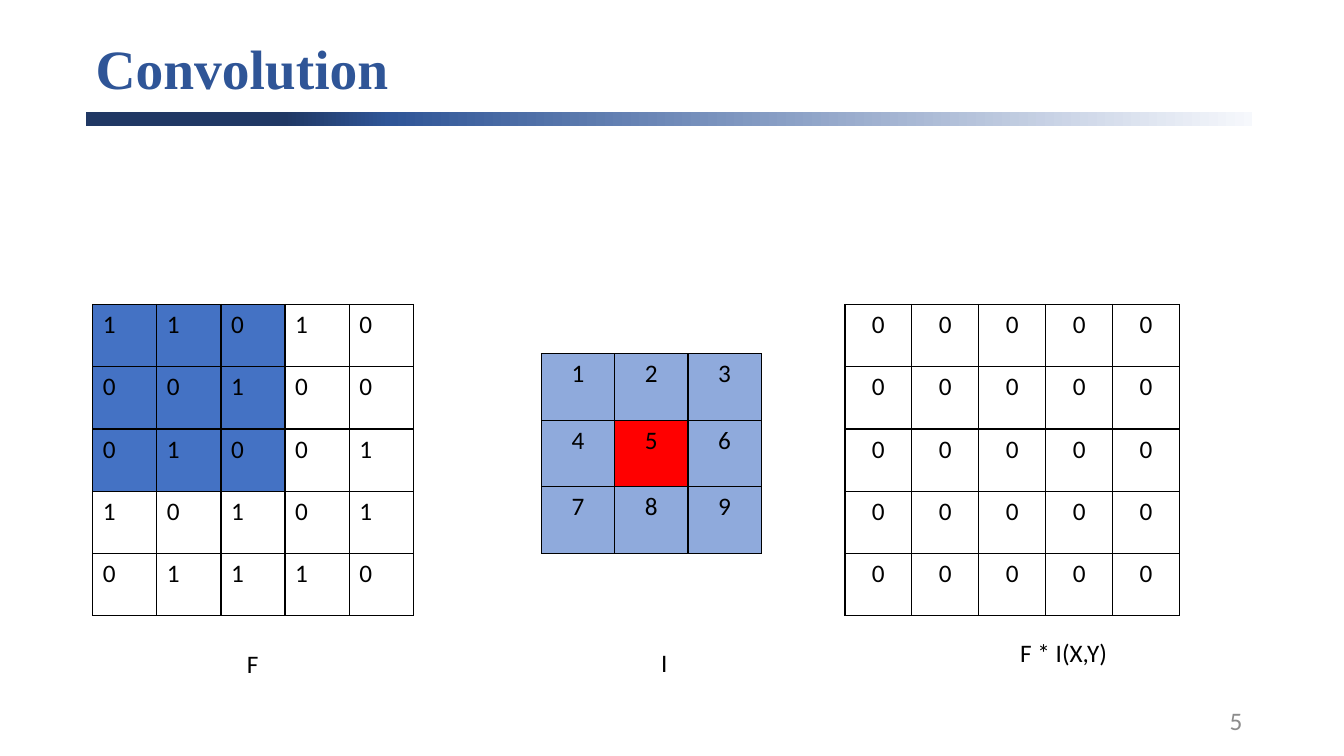
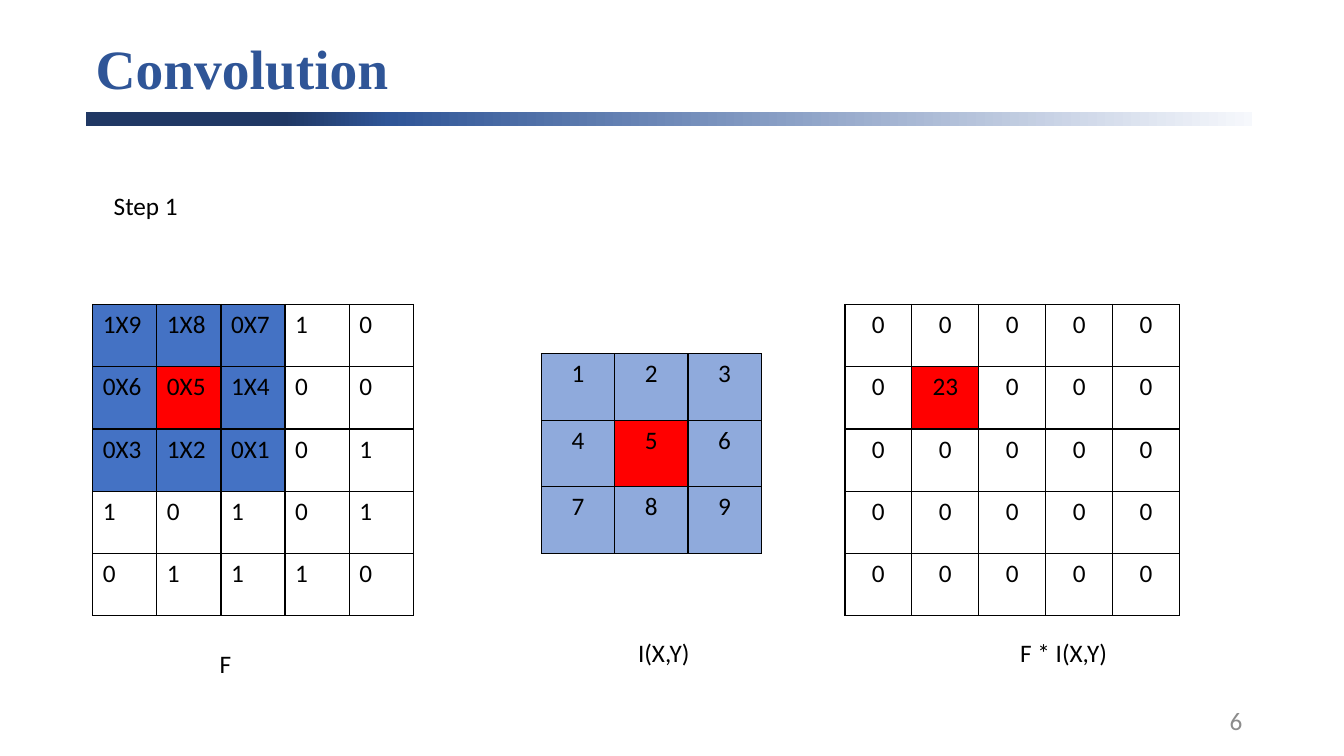
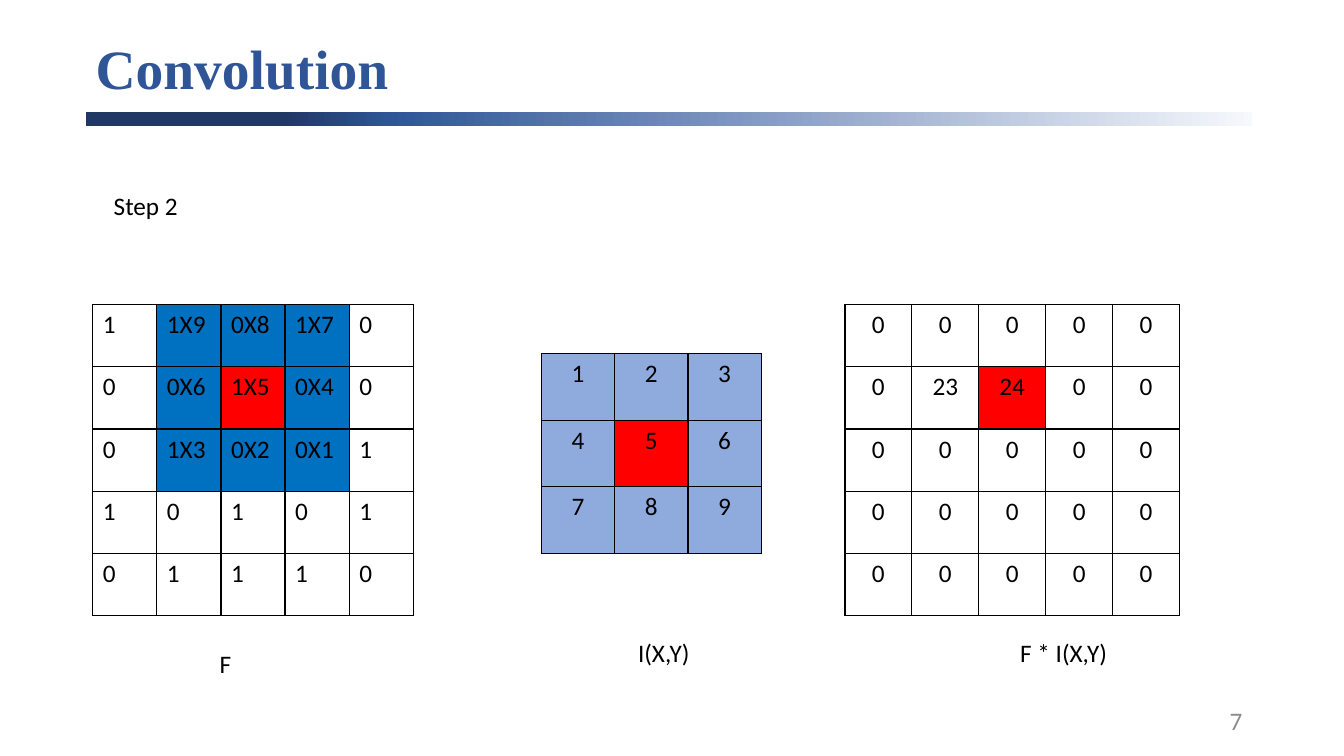
import dataclasses

import lxml.etree
import pptx
import pptx.dml.color
import pptx.enum.shapes
import pptx.enum.text
import pptx.oxml.ns
import pptx.util

Inches = pptx.util.Inches
Pt = pptx.util.Pt
ALIGN = pptx.enum.text.PP_ALIGN
ANCHOR = pptx.enum.text.MSO_ANCHOR
qn = pptx.oxml.ns.qn


@dataclasses.dataclass(frozen=True)
class Theme:
    title_font: str = "Times New Roman"
    body_font: str = "Calibri"
    title_size: float = 39.6
    body_size: float = 18
    title: str = "2F5597"
    text: str = "000000"
    page: str = "8C8C8C"
    grid: str = "000000"
    grid_width: float = 1
    window: str = "4472C4"
    moved_window: str = "0070C0"
    kernel: str = "8FAADC"
    focus: str = "FF0000"
    band: tuple = ((0, "F6F8FC"), (74, "2F5597"), (83, "203864"), (100, "203864"))


THEME = Theme()
RGB = pptx.dml.color.RGBColor.from_string

IMAGE = [
    [1, 1, 0, 1, 0],
    [0, 0, 1, 0, 0],
    [0, 1, 0, 0, 1],
    [1, 0, 1, 0, 1],
    [0, 1, 1, 1, 0],
]
KERNEL = [[1, 2, 3], [4, 5, 6], [7, 8, 9]]

IMAGE_BOX = (0.92, 3.02, 3.18, 3.09)
KERNEL_BOX = (5.37, 3.51, 2.18, 1.98)
RESULT_BOX = (8.38, 3.02, 3.32, 3.09)


def style(p, color=THEME.text, size=THEME.body_size, font=THEME.body_font, bold=False):
    p.font.name = font
    p.font.size = Pt(size)
    p.font.bold = bold
    p.font.color.rgb = RGB(color)


def add_text(s, box, text, align=ALIGN.LEFT, anchor=ANCHOR.TOP, wrap=True, **font):
    tf = s.shapes.add_textbox(*map(Inches, box)).text_frame
    tf.word_wrap = wrap
    if not wrap:
        tf.auto_size = pptx.enum.text.MSO_AUTO_SIZE.SHAPE_TO_FIT_TEXT
    tf.vertical_anchor = anchor
    p = tf.paragraphs[0]
    p.text = text
    p.alignment = align
    style(p, **font)
    return p


def add_band(s, box):
    sp = s.shapes.add_shape(pptx.enum.shapes.MSO_SHAPE.RECTANGLE, *map(Inches, box))
    sp.shadow.inherit = False
    sp.line.fill.background()
    sp.fill.gradient()
    sp.fill.gradient_angle = 180
    stops = sp._element.spPr.find(qn("a:gradFill")).find(qn("a:gsLst"))
    for stop in list(stops):
        stops.remove(stop)
    for pos, color in THEME.band:
        stop = lxml.etree.SubElement(stops, qn("a:gs"), pos=str(pos * 1000))
        lxml.etree.SubElement(stop, qn("a:srgbClr"), val=color)


def add_frame(s, page):
    add_band(s, (0.85, 1.11, 11.57, 0.14))
    p = add_text(s, (0.85, 0.36, 11.5, 0.69), "Convolution", anchor=ANCHOR.MIDDLE,
                 color=THEME.title, size=THEME.title_size, font=THEME.title_font, bold=True)
    p.line_spacing = 0.9
    add_text(s, (9.42, 6.95, 3, 0.4), str(page), ALIGN.RIGHT, ANCHOR.MIDDLE, color=THEME.page)


def set_borders(cell, edges):
    tcPr = cell._tc.get_or_add_tcPr()
    for i, edge in enumerate(edges):
        ln = lxml.etree.Element(qn("a:" + edge), w=str(int(Pt(THEME.grid_width))))
        fill = lxml.etree.SubElement(ln, qn("a:solidFill"))
        lxml.etree.SubElement(fill, qn("a:srgbClr"), val=THEME.grid)
        tcPr.insert(i, ln)


def add_grid(s, box, values, fills, align=ALIGN.CENTER):
    n = len(values)
    table = s.shapes.add_table(n, n, *map(Inches, box)).table
    table.first_row = table.horz_banding = False
    for i in range(n):
        table.columns[i].width = Inches(box[2] / n)
        table.rows[i].height = Inches(box[3] / n)
        for j in range(n):
            cell = table.cell(i, j)
            color = fills.get((i, j))
            if color:
                cell.fill.solid()
                cell.fill.fore_color.rgb = RGB(color)
            else:
                cell.fill.background()
            set_borders(cell, ("lnL", "lnR", "lnT", "lnB"))
            p = cell.text_frame.paragraphs[0]
            p.text = str(values[i][j])
            p.alignment = align
            style(p)


def window_cells(col):
    return [(i, col + j) for i in range(3) for j in range(3)]


def convolve(col):
    return sum(IMAGE[i][j] * KERNEL[2 - i][2 - j + col] for i, j in window_cells(col))


def add_convolution_slide(prs, page, step, color):
    s = prs.slides.add_slide(prs.slide_layouts[6])
    add_frame(s, page)
    image = [list(row) for row in IMAGE]
    result = [[0] * 5 for _ in range(5)]
    col = max(step - 1, 0)
    image_fills = dict.fromkeys(window_cells(col), color)
    result_fills = {}
    if step:
        for i, j in window_cells(col):
            image[i][j] = f"{IMAGE[i][j]}X{KERNEL[2 - i][2 - j + col]}"
        for k in range(step):
            result[1][k + 1] = convolve(k)
        image_fills[1, step] = result_fills[1, step] = THEME.focus
        add_text(s, (1.03, 1.84, 0.84, 0.4), f"Step {step}", wrap=False)

    kernel_fills = dict.fromkeys(window_cells(0), THEME.kernel)
    kernel_fills[1, 1] = THEME.focus
    add_grid(s, IMAGE_BOX, image, image_fills, ALIGN.LEFT)
    add_grid(s, KERNEL_BOX, KERNEL, kernel_fills)
    add_grid(s, RESULT_BOX, result, result_fills)

    add_text(s, (2.08 if step else 2.35, 6.38, 0.32, 0.4), "F", wrap=False)
    if step:
        add_text(s, (6.23, 6.27, 0.72, 0.4), "I(X,Y)", wrap=False)
    else:
        add_text(s, (6.46, 6.37, 0.27, 0.4), "I", wrap=False)
    add_text(s, (10.02, 6.27, 1.08, 0.4), "F * I(X,Y)", wrap=False)


def main():
    prs = pptx.Presentation()
    prs.slide_width = Inches(13.33)
    prs.slide_height = Inches(7.5)
    colors = (THEME.window, THEME.window, THEME.moved_window)
    for step, color in enumerate(colors):
        add_convolution_slide(prs, 5 + step, step, color)
    prs.save("out.pptx")


if __name__ == "__main__":
    main()
